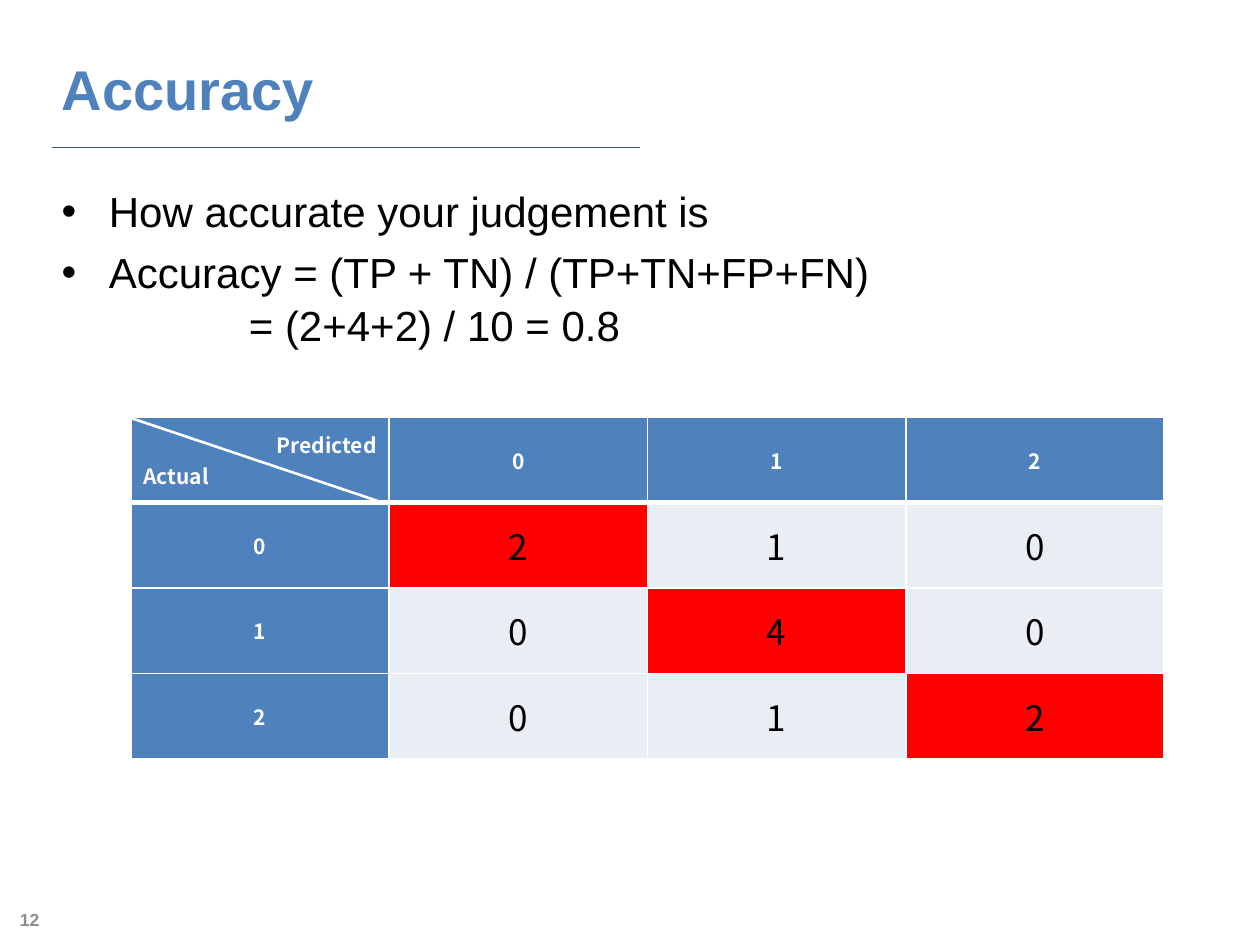
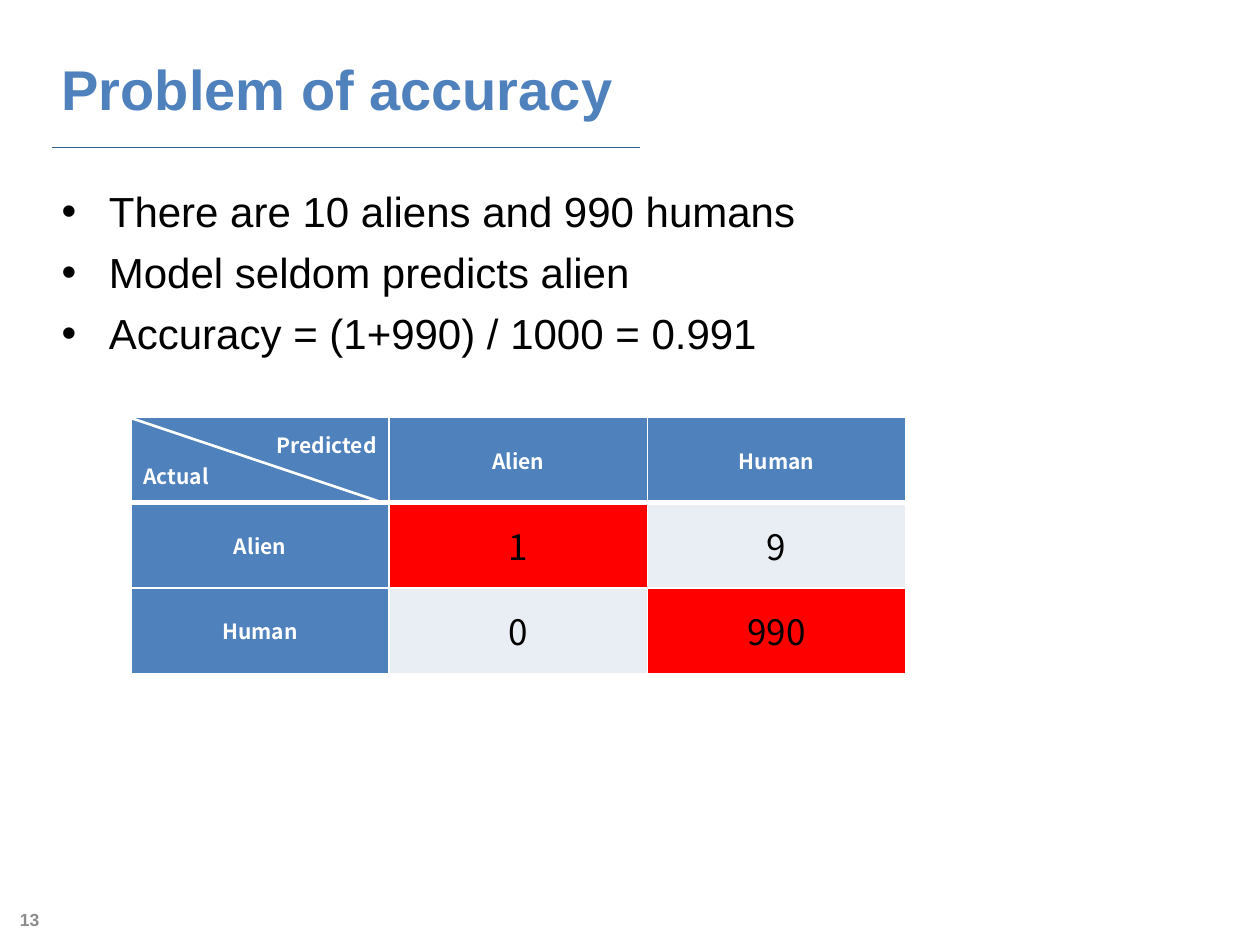
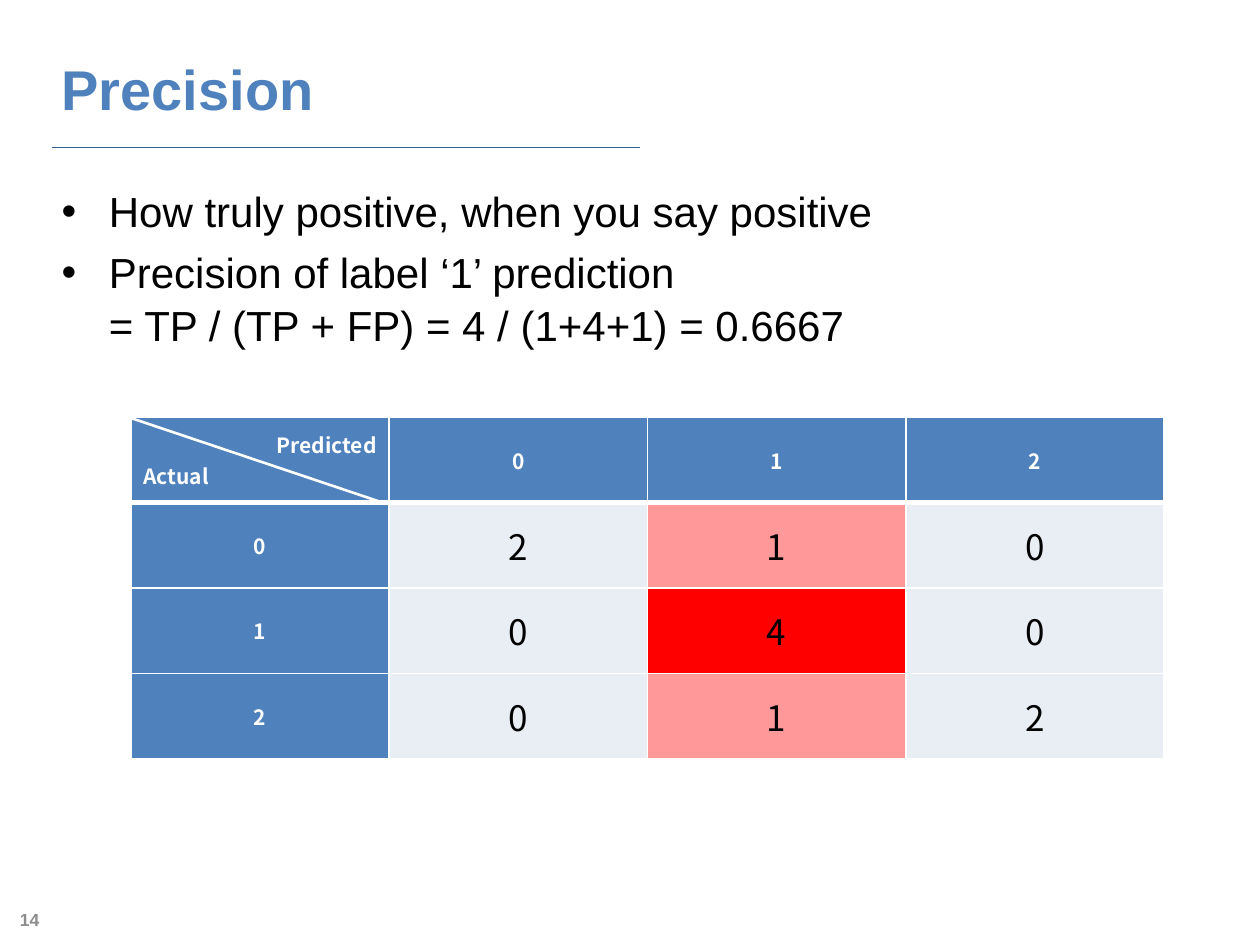
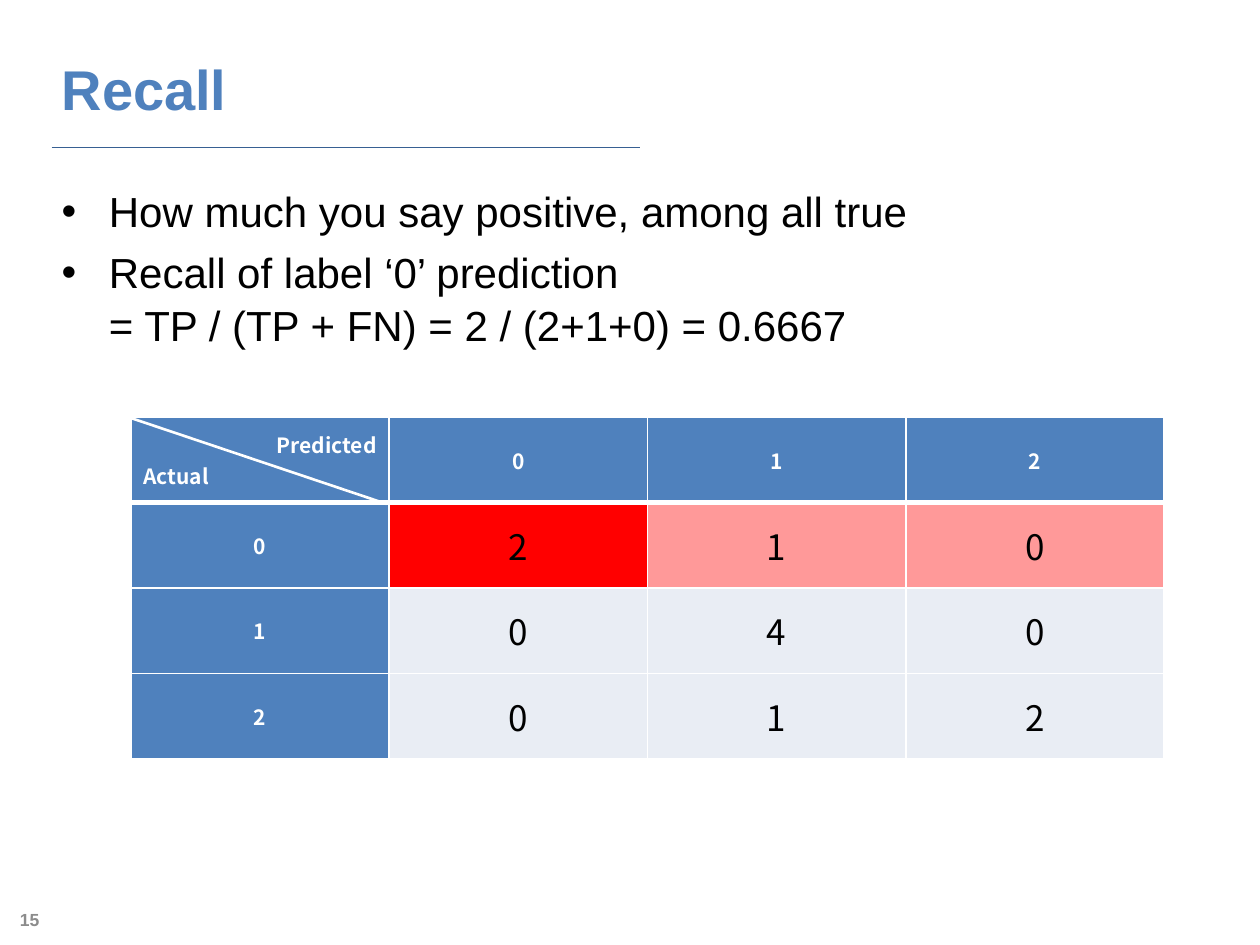
from dataclasses import dataclass

from lxml import etree
from pptx import Presentation
from pptx.dml.color import RGBColor
from pptx.enum.shapes import MSO_CONNECTOR
from pptx.enum.text import MSO_ANCHOR, PP_ALIGN
from pptx.oxml.ns import qn
from pptx.util import Pt

LEFT, CENTER, RIGHT = PP_ALIGN.LEFT, PP_ALIGN.CENTER, PP_ALIGN.RIGHT
TOP, MIDDLE = MSO_ANCHOR.TOP, MSO_ANCHOR.MIDDLE
STRAIGHT = MSO_CONNECTOR.STRAIGHT


@dataclass(frozen=True)
class Theme:
    blue: str = "4F81BD"
    rule: str = "376092"
    white: str = "FFFFFF"
    black: str = "000000"
    gray: str = "8C8C8C"
    pale: str = "E9EDF4"
    hit: str = "FF0000"
    related: str = "FF9999"
    font: str = "Arial"
    table_font: str = "Noto Sans CJK KR"
    title_size: float = 32
    body_size: float = 24
    value_size: float = 20
    header_size: float = 12
    number_size: float = 10


THEME = Theme()

# Layout in points
MARGIN, CONTENT_W = 28, 664
TABLE_X, TABLE_Y = 74.8, 238.4
COL_W, ROW_H = 147.6, 48.8
BULLET_INDENT = 27
FIRST_NUMBER = 12


@dataclass(frozen=True)
class Line:
    """A body line; an indent makes it an unbulleted continuation."""
    text: str
    indent: float = 0


# Shared helpers
def place(sp, x, y, w, h):
    sp.left, sp.top, sp.width, sp.height = Pt(x), Pt(y), Pt(w), Pt(h)


def style(p, size, color, font=THEME.font, bold=False, align=LEFT):
    p.alignment = align
    for r in p.runs:
        r.font.name, r.font.size, r.font.bold = font, Pt(size), bold
        r.font.color.rgb = RGBColor.from_string(color)


def add_line(s, x1, y1, x2, y2, color, width):
    line = s.shapes.add_connector(STRAIGHT, Pt(x1), Pt(y1), Pt(x2), Pt(y2))
    line.line.color.rgb = RGBColor.from_string(color)
    line.line.width = Pt(width)
    etree.SubElement(line._element.spPr, qn("a:effectLst"))


# Slide frame: title, rule and page number
def add_frame(prs, title, number):
    s = prs.slides.add_slide(prs.slide_layouts[1])
    add_line(s, 29.5, 84.4, 366, 84.4, THEME.rule, 0.75)

    sp = s.shapes.title
    place(sp, MARGIN, 22.3, CONTENT_W, 56)
    sp.text_frame.text = title
    sp.text_frame.vertical_anchor = MIDDLE
    style(sp.text_frame.paragraphs[0], THEME.title_size, THEME.blue, bold=True)

    sp = s.shapes.add_textbox(0, Pt(511), Pt(29.5), Pt(29))
    tf = sp.text_frame
    tf.word_wrap = True
    tf.vertical_anchor = MIDDLE
    tf.text = str(number)
    style(tf.paragraphs[0], THEME.number_size, THEME.gray, bold=True, align=RIGHT)
    return s


# Bulleted body
def add_body(s, lines):
    sp = s.placeholders[1]
    place(sp, MARGIN, 101.5, CONTENT_W, 400)
    tf = sp.text_frame
    tf.vertical_anchor = TOP
    tf.text = "\n".join(line.text for line in lines)
    for p, line in zip(tf.paragraphs, lines):
        pPr = p._p.get_or_add_pPr()
        pPr.set("marL", str(Pt(line.indent or BULLET_INDENT)))
        pPr.set("indent", str(0 if line.indent else -Pt(BULLET_INDENT)))
        if line.indent:
            etree.SubElement(pPr, qn("a:buNone"))
        p.space_before = Pt(0 if line.indent else 0.2 * THEME.body_size)
        p.line_spacing = 1.04
        style(p, THEME.body_size, THEME.black)


# Confusion matrix
def set_borders(cell, top, bottom):
    tcPr = cell._tc.get_or_add_tcPr()
    for tag, width in (("lnL", 1), ("lnR", 1), ("lnT", top), ("lnB", bottom)):
        ln = etree.SubElement(tcPr, qn(f"a:{tag}"), w=str(Pt(width)))
        fill = etree.SubElement(ln, qn("a:solidFill"))
        etree.SubElement(fill, qn("a:srgbClr"), val=THEME.white)


def fill_cell(cell, text, fill, row, header=True):
    # The heavy rule lies between the header row and the first data row
    set_borders(cell, 3 if row == 1 else 1, 3 if row == 0 else 1)
    cell.fill.solid()
    cell.fill.fore_color.rgb = RGBColor.from_string(fill)
    cell.vertical_anchor = MIDDLE
    cell.text_frame.text = text
    size = THEME.header_size if header else THEME.value_size
    color = THEME.white if header else THEME.black
    for p in cell.text_frame.paragraphs:
        style(p, size, color, THEME.table_font, header, CENTER)


def add_matrix(s, labels, values, hits, related=()):
    n = len(labels) + 1
    frame = s.shapes.add_table(n, n, Pt(TABLE_X), Pt(TABLE_Y),
                               Pt(n * COL_W), Pt(n * ROW_H))
    table = frame.table
    table.horz_banding = False
    for i in range(n):
        table.columns[i].width = Pt(COL_W)
        table.rows[i].height = Pt(ROW_H)

    corner = table.cell(0, 0)
    fill_cell(corner, "Predicted\nActual", THEME.blue, 0)
    predicted, actual = corner.text_frame.paragraphs
    predicted.alignment, actual.alignment = RIGHT, LEFT

    for i, label in enumerate(labels, 1):
        fill_cell(table.cell(0, i), label, THEME.blue, 0)
        fill_cell(table.cell(i, 0), label, THEME.blue, i)

    for i, row in enumerate(values):
        for j, value in enumerate(row):
            if (i, j) in hits:
                fill = THEME.hit
            elif (i, j) in related:
                fill = THEME.related
            else:
                fill = THEME.pale
            fill_cell(table.cell(i + 1, j + 1), str(value), fill, i + 1, False)

    # Diagonal that splits the corner cell
    add_line(s, TABLE_X - 1.4, TABLE_Y, TABLE_X + COL_W - 1.4, TABLE_Y + 49.6,
             THEME.white, 1.5)


# Content
DIGITS = ("0", "1", "2")
DIGIT_COUNTS = ((2, 1, 0), (0, 4, 0), (0, 1, 2))
SPECIES = ("Alien", "Human")
SPECIES_COUNTS = ((1, 9), (0, 990))

SLIDES = (
    ("Accuracy",
     (Line("How accurate your judgement is"),
      Line("Accuracy = (TP + TN) / (TP+TN+FP+FN)"),
      Line("= (2+4+2) / 10 = 0.8", 107)),
     (DIGITS, DIGIT_COUNTS, {(0, 0), (1, 1), (2, 2)})),
    ("Problem of accuracy",
     (Line("There are 10 aliens and 990 humans"),
      Line("Model seldom predicts alien"),
      Line("Accuracy = (1+990) / 1000 = 0.991")),
     (SPECIES, SPECIES_COUNTS, {(0, 0), (1, 1)})),
    ("Precision",
     (Line("How truly positive, when you say positive"),
      Line("Precision of label ‘1’ prediction"),
      Line("= TP / (TP + FP) = 4 / (1+4+1) = 0.6667", BULLET_INDENT)),
     (DIGITS, DIGIT_COUNTS, {(1, 1)}, {(0, 1), (2, 1)})),
    ("Recall",
     (Line("How much you say positive, among all true"),
      Line("Recall of label ‘0’ prediction"),
      Line("= TP / (TP + FN) = 2 / (2+1+0) = 0.6667", BULLET_INDENT)),
     (DIGITS, DIGIT_COUNTS, {(0, 0)}, {(0, 1), (0, 2)})),
)


def main():
    prs = Presentation()
    prs.slide_width, prs.slide_height = Pt(720), Pt(540)
    for number, (title, lines, matrix) in enumerate(SLIDES, FIRST_NUMBER):
        s = add_frame(prs, title, number)
        add_body(s, lines)
        add_matrix(s, *matrix)
    prs.save("out.pptx")


main()
